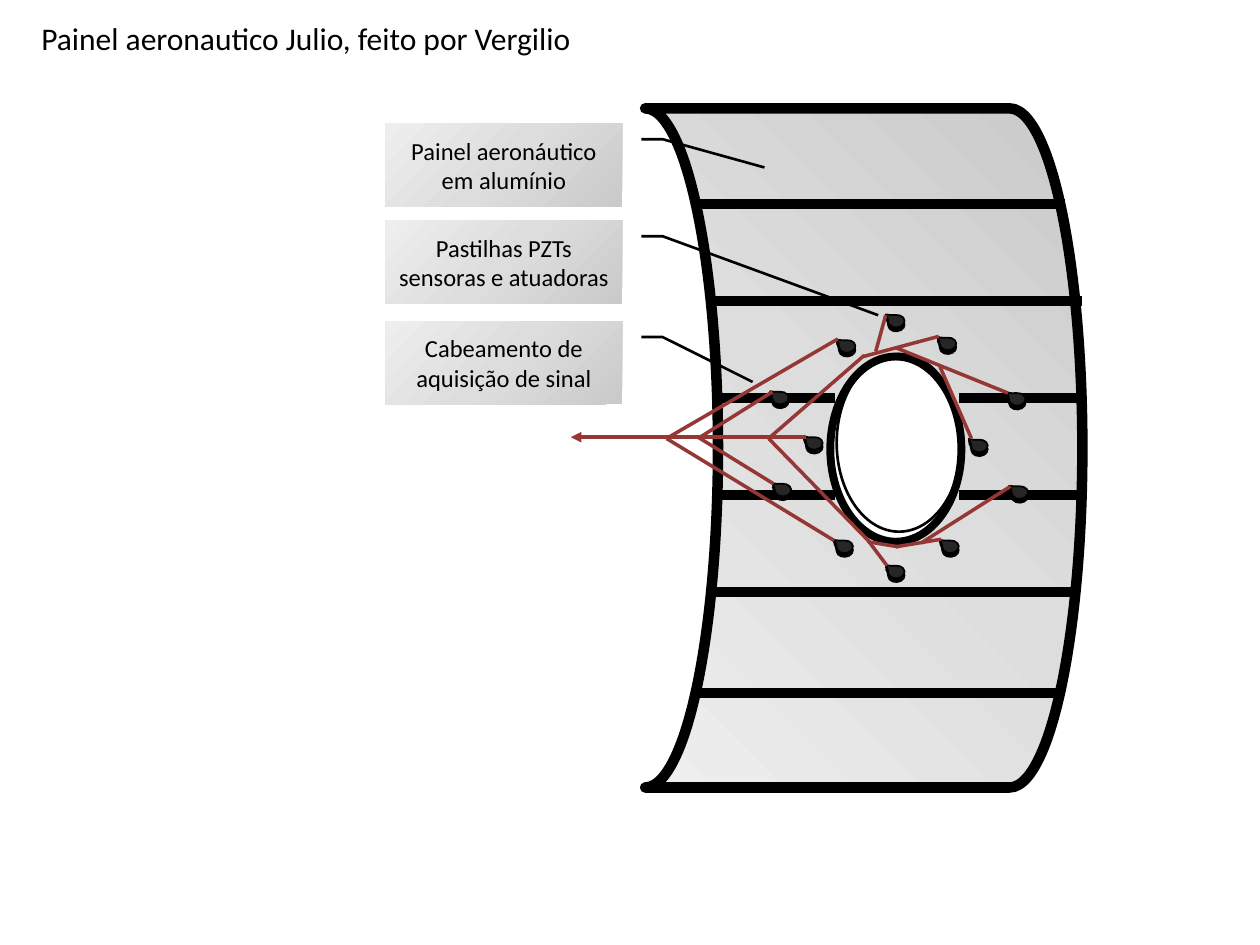
"""Build the slide of an aeronautical panel with its sensors and signal cabling."""
from copy import deepcopy
from dataclasses import dataclass

from lxml.etree import SubElement
from pptx import Presentation
from pptx.dml.color import RGBColor
from pptx.enum.shapes import MSO_CONNECTOR, MSO_SHAPE
from pptx.enum.text import MSO_ANCHOR, PP_ALIGN
from pptx.oxml.ns import qn
from pptx.shapes.autoshape import Shape
from pptx.shapes.connector import Connector
from pptx.shapes.shapetree import GroupShapes
from pptx.slide import Slide
from pptx.util import Inches, Pt


@dataclass(frozen=True)
class Theme:
    font: str = "Calibri"
    title_size: int = 18
    label_size: int = 14
    black: str = "000000"
    white: str = "FFFFFF"
    sensor: str = "262626"
    cable: str = "953735"
    metal: tuple[str, ...] = ("CACACA", "DDDDDD", "EEEEEE")
    rib_width: float = 6
    hole_width: float = 4.5
    thin_width: float = 1.5
    cable_width: float = 2
    sensor_width: float = 1


@dataclass(frozen=True)
class Box:
    left: float
    top: float
    width: float
    height: float


@dataclass(frozen=True)
class Segment:
    x1: float
    y1: float
    x2: float
    y2: float


@dataclass(frozen=True)
class Label:
    text: str
    top: float
    target: tuple[float, float]


THEME = Theme()
RIB_LENGTH = 2.94
SHORT_RIB_LENGTH = 0.94
RIBS = [(5.51, 1.62), (5.65, 2.39), (5.63, 4.7), (5.5, 5.5)]
SHORT_RIBS = [(left, top) for left in (5.69, 7.61) for top in (3.16, 3.93)]
SENSORS = [
    (7.05, 4.49), (7.71, 3.49), (6.64, 4.29), (7.48, 4.29), (7.46, 2.68), (6.66, 2.7),
    (8.03, 3.86), (8.01, 3.12), (6.4, 3.47), (6.13, 3.11), (6.15, 3.84), (7.05, 2.5),
]
MAIN_CABLE = Segment(4.53, 3.47, 6.4, 3.47)
CABLES = [
    Segment(7.03, 2.5, 6.95, 2.79),
    Segment(6.65, 2.69, 5.29, 3.48),
    Segment(6.13, 3.11, 5.54, 3.48),
    Segment(6.14, 3.84, 5.54, 3.47),
    Segment(6.62, 4.29, 5.29, 3.48),
    Segment(7.04, 4.49, 6.89, 4.29),
    Segment(7.47, 4.28, 7.11, 4.34),
    Segment(8.02, 3.86, 7.31, 4.31),
    Segment(7.71, 3.48, 7.46, 2.91),
    Segment(8, 3.12, 7.11, 2.76),
    Segment(7.45, 2.67, 6.85, 2.83),
    Segment(7.13, 4.34, 6.89, 4.3),
    Segment(6.9, 4.3, 6.1, 3.48),
    Segment(6.86, 2.82, 6.1, 3.48),
]
LABELS = [
    Label("Painel aeronáutico em alumínio", 0.98, (0.53, -0.6)),
    Label("Pastilhas PZTs sensoras e atuadoras", 1.75, (1.14, -1.08)),
    Label("Cabeamento de aquisição de sinal", 2.55, (0.73, -0.55)),
]


def draw_shape(shapes: GroupShapes, kind: MSO_SHAPE, box: Box, width: float, fill: str | None = None) -> Shape:
    """Add a black-outlined shape, unfilled when no colour is given."""
    shape = shapes.add_shape(kind, Inches(box.left), Inches(box.top), Inches(box.width), Inches(box.height))
    shape.shadow.inherit = False
    shape.line.color.rgb = RGBColor.from_string(THEME.black)
    shape.line.width = Pt(width)
    if fill:
        shape.fill.solid()
        shape.fill.fore_color.rgb = RGBColor.from_string(fill)
    else:
        shape.fill.background()
    return shape


def fill_metal(shape: Shape) -> None:
    """Give a shape the three-stop metal gradient."""
    shape.fill.gradient()
    shape.fill.gradient_angle = 45
    stop_list = shape._element.spPr.find(qn("a:gradFill")).find(qn("a:gsLst"))
    stop_list.append(deepcopy(stop_list[0]))
    for index, (stop, color) in enumerate(zip(shape.fill.gradient_stops, THEME.metal)):
        stop.position = index / 2
        stop.color.rgb = RGBColor.from_string(color)


def flip(shape: Shape) -> None:
    """Mirror a shape from left to right."""
    shape._element.spPr.find(qn("a:xfrm")).set("flipH", "1")


def draw_line(shapes: GroupShapes, segment: Segment, width: float, color: str = THEME.black) -> Connector:
    """Add a straight line without a shadow."""
    connector = shapes.add_connector(
        MSO_CONNECTOR.STRAIGHT, Inches(segment.x1), Inches(segment.y1), Inches(segment.x2), Inches(segment.y2)
    )
    connector.line.color.rgb = RGBColor.from_string(color)
    connector.line.width = Pt(width)
    SubElement(connector._element.spPr, qn("a:effectLst"))
    return connector


def draw_ribs(shapes: GroupShapes, starts: list[tuple[float, float]], length: float) -> None:
    """Add horizontal ribs of equal length."""
    for left, top in starts:
        draw_line(shapes, Segment(left, top, left + length, top), THEME.rib_width)


def draw_panel(shapes: GroupShapes) -> None:
    """Add the curved panel with its ribs and hole."""
    panel = draw_shape(shapes, MSO_SHAPE.FLOWCHART_STORED_DATA, Box(5.12, 0.86, 3.47, 5.39), THEME.rib_width)
    panel.rotation = 180
    fill_metal(panel)
    draw_ribs(shapes, RIBS, RIB_LENGTH)
    draw_ribs(shapes, SHORT_RIBS[:2], SHORT_RIB_LENGTH)
    draw_shape(shapes, MSO_SHAPE.OVAL, Box(6.59, 2.83, 1.04, 1.47), THEME.hole_width, THEME.white)
    draw_shape(shapes, MSO_SHAPE.OVAL, Box(6.64, 2.81, 0.99, 1.41), THEME.thin_width)
    draw_ribs(shapes, SHORT_RIBS[2:], SHORT_RIB_LENGTH)


def draw_sensor(shapes: GroupShapes, left: float, top: float) -> None:
    """Add one sensor as a raised teardrop."""
    for offset, color in ((0.03, THEME.black), (0, THEME.sensor)):
        drop = draw_shape(shapes, MSO_SHAPE.TEAR, Box(left, top + offset, 0.13, 0.1), THEME.sensor_width, color)
        drop.adjustments[0] = 1.2
        drop.rotation = 355.7
        flip(drop)
    draw_line(shapes, Segment(left - 0.02, top + 0.02, left - 0.02, top - 0.01), THEME.sensor_width)


def draw_cables(shapes: GroupShapes) -> None:
    """Add the signal cables and the arrow that leads them out."""
    main = draw_line(shapes, MAIN_CABLE, THEME.cable_width, THEME.cable)
    SubElement(main.line._get_or_add_ln(), qn("a:headEnd"), type="triangle")
    for cable in CABLES:
        draw_line(shapes, cable, THEME.cable_width, THEME.cable)


def write_text(shape: Shape, text: str, size: int) -> None:
    """Write one black paragraph in a shape."""
    paragraph = shape.text_frame.paragraphs[0]
    paragraph.text = text
    paragraph.font.name = THEME.font
    paragraph.font.size = Pt(size)
    paragraph.font.color.rgb = RGBColor.from_string(THEME.black)


def draw_label(shapes: GroupShapes, label: Label) -> None:
    """Add a callout that points into the panel."""
    callout = draw_shape(
        shapes, MSO_SHAPE.LINE_CALLOUT_2_NO_BORDER, Box(3.06, label.top, 1.88, 0.66), THEME.thin_width
    )
    for index, value in enumerate((0.19, -0.08, 0.19, -0.17, *label.target)):
        callout.adjustments[index] = value
    flip(callout)
    fill_metal(callout)
    write_text(callout, label.text, THEME.label_size)
    callout.text_frame.word_wrap = True
    callout.text_frame.vertical_anchor = MSO_ANCHOR.MIDDLE
    callout.text_frame.paragraphs[0].alignment = PP_ALIGN.CENTER


def build_slide(slide: Slide) -> None:
    """Draw the whole diagram and its title."""
    shapes = slide.shapes.add_group_shape().shapes
    draw_panel(shapes)
    for left, top in SENSORS:
        draw_sensor(shapes, left, top)
    draw_cables(shapes)
    for label in LABELS:
        draw_label(shapes, label)
    title = slide.shapes.add_textbox(Inches(0.23), Inches(0.1), Inches(4.46), Inches(0.4))
    title.text_frame.word_wrap = False
    write_text(title, "Painel aeronautico Julio, feito por Vergilio", THEME.title_size)


def main() -> None:
    """Create and save the presentation."""
    presentation = Presentation()
    presentation.slide_width, presentation.slide_height = Inches(10), Inches(7.5)
    build_slide(presentation.slides.add_slide(presentation.slide_layouts[6]))
    presentation.save("out.pptx")


if __name__ == "__main__":
    main()
